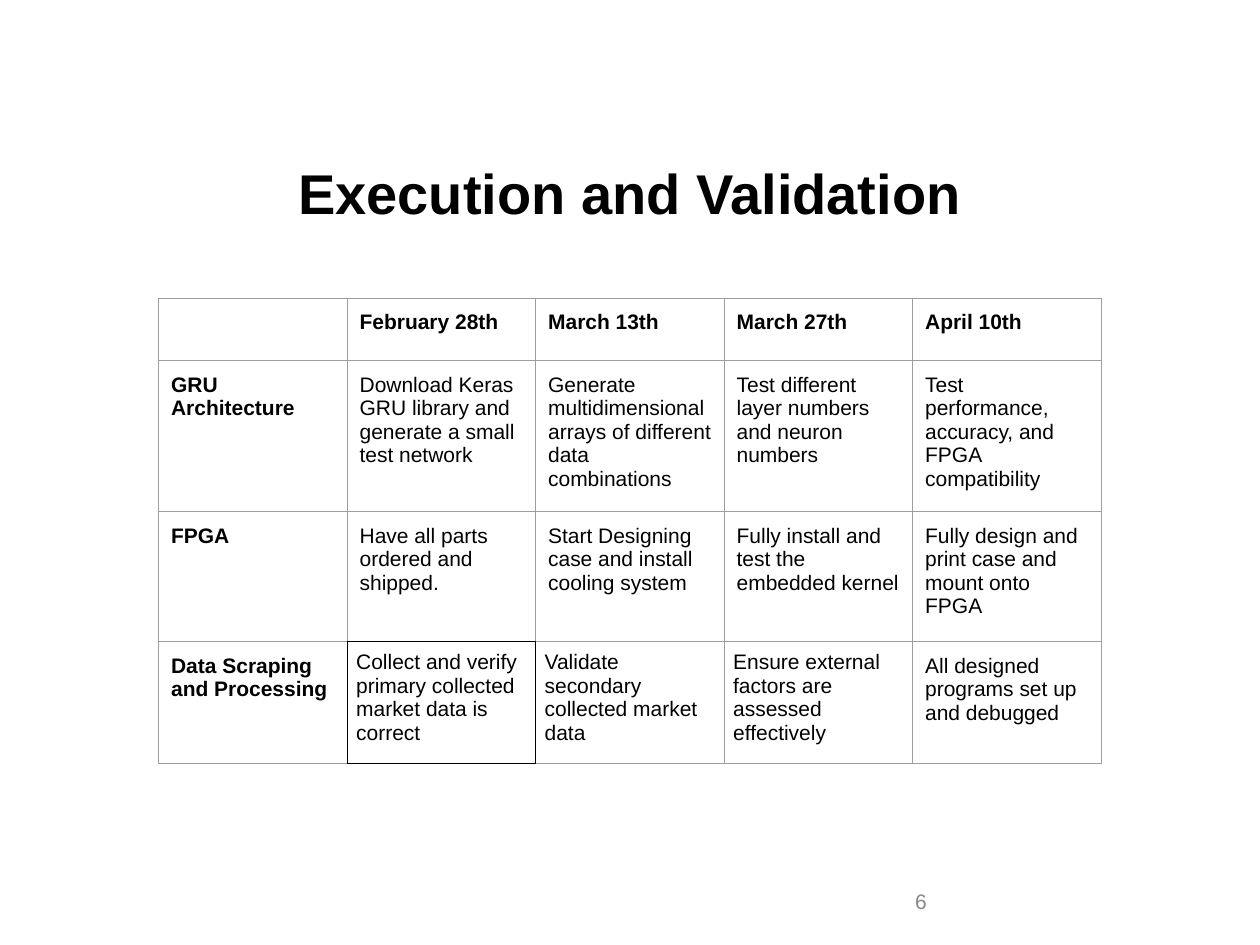
from dataclasses import dataclass

from lxml.etree import SubElement
from pptx import Presentation
from pptx.dml.color import RGBColor
from pptx.enum.text import MSO_ANCHOR as Anchor, PP_ALIGN as Align
from pptx.oxml.ns import qn
from pptx.util import Cm, Pt


@dataclass(frozen=True)
class Theme:
    font: str = "Arial"
    ink: str = "000000"
    muted: str = "888888"
    grid: str = "9E9E9E"
    title_size: int = 32
    body_size: int = 12
    grid_width: float = 0.75


THEME = Theme()
INSET = 0.25
TIGHT_INSET = 0.18
COLUMN_WIDTH = 3.8
ROW_HEIGHTS = (1.21, 2.88, 2.62, 2.46)
HIGHLIGHT = (3, 1)
TIGHT_CELLS = {(3, 1), (3, 2), (3, 3)}
SIDES = {"lnL": (0, -1), "lnR": (0, 1), "lnT": (-1, 0), "lnB": (1, 0)}

SCHEDULE = (
    ("", "February 28th", "March 13th", "March 27th", "April 10th"),
    (
        "GRU Architecture",
        "Download Keras GRU library and generate a small test network",
        "Generate multidimensional arrays of different data combinations",
        "Test different layer numbers and neuron numbers",
        "Test performance, accuracy, and FPGA compatibility",
    ),
    (
        "FPGA",
        "Have all parts ordered and shipped.",
        "Start Designing case and install cooling system",
        "Fully install and test the embedded kernel",
        "Fully design and print case and mount onto FPGA",
    ),
    (
        "Data Scraping and Processing",
        "Collect and verify primary collected market data is correct",
        "Validate secondary collected market data",
        "Ensure external factors are assessed effectively",
        "All designed programs set up and debugged",
    ),
)


def style_text(frame, size, color, bold=False, align=Align.LEFT):
    for paragraph in frame.paragraphs:
        paragraph.alignment = align
        for run in paragraph.runs:
            run.font.name = THEME.font
            run.font.size = Pt(size)
            run.font.bold = bold
            run.font.color.rgb = RGBColor.from_string(color)


def add_label(slide, text, box, inset_y, **style):
    frame = slide.shapes.add_textbox(*map(Cm, box)).text_frame
    frame.word_wrap = True
    frame.vertical_anchor = Anchor.MIDDLE
    frame.margin_left = frame.margin_right = Cm(INSET)
    frame.margin_top = frame.margin_bottom = Cm(inset_y)
    frame.text = text
    style_text(frame, **style)


def set_borders(cell, position):
    row, column = position
    properties = cell._tc.get_or_add_tcPr()
    for side, (down, across) in SIDES.items():
        touches = HIGHLIGHT in (position, (row + down, column + across))
        border = SubElement(properties, qn(f"a:{side}"), w=str(Pt(THEME.grid_width)))
        fill = SubElement(border, qn("a:solidFill"))
        SubElement(fill, qn("a:srgbClr"), val=THEME.ink if touches else THEME.grid)


def fill_cell(cell, text, position):
    inset = Cm(TIGHT_INSET if position in TIGHT_CELLS else INSET)
    cell.margin_left = cell.margin_right = inset
    cell.margin_top = cell.margin_bottom = inset
    cell.vertical_anchor = Anchor.TOP
    cell.text = text
    style_text(cell.text_frame, THEME.body_size, THEME.ink, bold=0 in position)
    set_borders(cell, position)
    cell.fill.background()


def add_schedule(slide, left, top):
    column_count = len(SCHEDULE[0])
    schedule = slide.shapes.add_table(
        len(SCHEDULE), column_count, Cm(left), Cm(top),
        Cm(COLUMN_WIDTH * column_count), Cm(sum(ROW_HEIGHTS)),
    ).table
    schedule.first_row = False
    schedule.horz_banding = False
    for column in schedule.columns:
        column.width = Cm(COLUMN_WIDTH)
    for row, height in zip(schedule.rows, ROW_HEIGHTS):
        row.height = Cm(height)
    for row_index, entries in enumerate(SCHEDULE):
        for column_index, entry in enumerate(entries):
            position = (row_index, column_index)
            fill_cell(schedule.cell(*position), entry, position)


def main():
    deck = Presentation()
    deck.slide_width, deck.slide_height = Cm(25.4), Cm(19.05)
    slide = deck.slides.add_slide(deck.slide_layouts[6])
    add_label(slide, "Execution and Validation", (1.27, 2.75, 22.86, 2.24), INSET,
              size=THEME.title_size, color=THEME.ink, bold=True, align=Align.CENTER)
    add_label(slide, "6", (18.2, 17.66, 5.93, 1.01), 0.13,
              size=THEME.body_size, color=THEME.muted)
    add_schedule(slide, 3.2, 6.01)
    deck.save("out.pptx")


if __name__ == "__main__":
    main()
